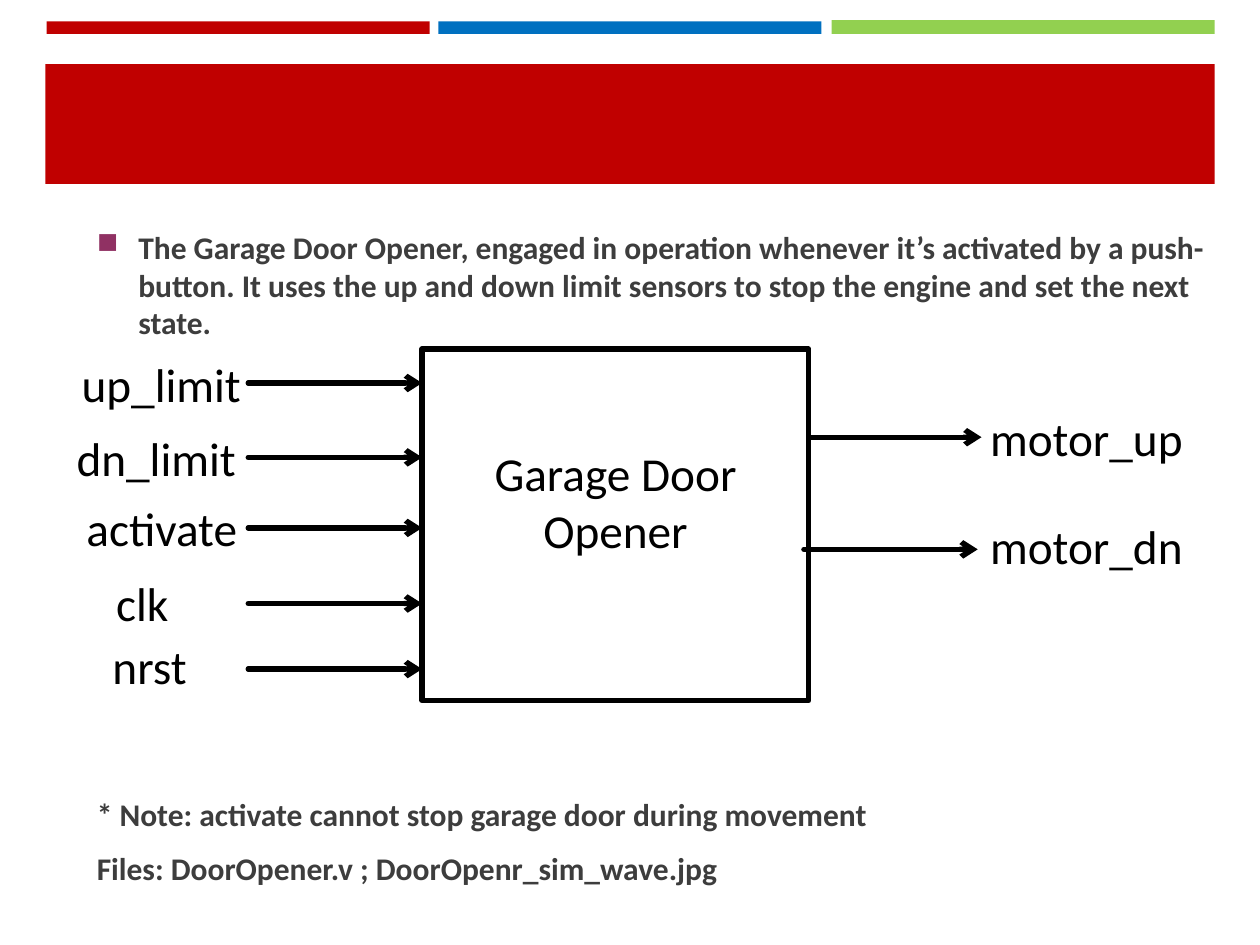
"""Build the garage door opener block diagram slide."""
from lxml import etree
from pptx import Presentation
from pptx.dml.color import RGBColor
from pptx.enum.shapes import MSO_CONNECTOR, MSO_SHAPE
from pptx.enum.text import PP_ALIGN
from pptx.oxml.ns import qn
from pptx.util import Inches, Pt

LEFT, CENTER, RIGHT = PP_ALIGN.LEFT, PP_ALIGN.CENTER, PP_ALIGN.RIGHT
RECTANGLE, STRAIGHT = MSO_SHAPE.RECTANGLE, MSO_CONNECTOR.STRAIGHT
COLORS = {"red": "C00000", "blue": "0070C0", "green": "92D050",
          "body": "3D3D3D", "bullet": "903163", "black": "000000"}

prs = Presentation()
prs.slide_width, prs.slide_height = Inches(10), Inches(7.5)
slide = prs.slides.add_slide(prs.slide_layouts[6])
shapes = slide.shapes


def color(name):
    return RGBColor.from_string(COLORS[name])


def add_text(lines, left, top, width, height, size, ink, align=LEFT, bold=False):
    box = shapes.add_textbox(Inches(left), Inches(top), Inches(width), Inches(height))
    frame = box.text_frame
    frame.word_wrap = True
    frame.text = "\n".join(lines)
    for paragraph in frame.paragraphs:
        paragraph.alignment = align
        font = paragraph.runs[0].font
        font.name, font.size, font.bold = "Calibri", Pt(size), bold
        font.color.rgb = color(ink)
    return frame


bands = [("red", 0.37, 0.17, 3.04, 0.1), ("blue", 3.48, 0.17, 3.04, 0.1),
         ("green", 6.6, 0.16, 3.04, 0.11), ("red", 0.36, 0.51, 9.28, 0.95)]
for fill, *place in bands:
    band = shapes.add_shape(RECTANGLE, *map(Inches, place))
    band.shadow.inherit = False
    band.fill.solid()
    band.fill.fore_color.rgb = color(fill)
    band.line.fill.background()

intro = add_text(
    ["The Garage Door Opener, engaged in operation whenever it’s activated by a "
     "push-button. It uses the up and down limit sensors to stop the engine and "
     "set the next state."], 0.67, 1.76, 9.3, 1, 18, "body", bold=True)
intro_format = intro.paragraphs[0]._p.get_or_add_pPr()
intro_format.set("marL", str(Inches(0.33)))
intro_format.set("indent", str(-Inches(0.33)))
bullet_color = etree.SubElement(intro_format, qn("a:buClr"))
etree.SubElement(bullet_color, qn("a:srgbClr"), val=COLORS["bullet"])
etree.SubElement(intro_format, qn("a:buSzPct"), val="92000")
etree.SubElement(intro_format, qn("a:buChar"), char="■")

notes = add_text(["* Note: activate cannot stop garage door during movement",
                  "Files: DoorOpener.v ; DoorOpenr_sim_wave.jpg"],
                 0.67, 6.26, 9.3, 0.85, 18, "body", bold=True)
notes.paragraphs[0].space_after = Pt(9)

opener = shapes.add_shape(RECTANGLE, Inches(3.35), Inches(2.77), Inches(3.07), Inches(2.79))
opener.shadow.inherit = False
opener.fill.background()
opener.line.color.rgb = color("black")
opener.line.width = Pt(3)
etree.SubElement(opener.line._get_or_add_ln(), qn("a:round"))
add_text(["Garage Door", "Opener"], 3.51, 3.48, 2.75, 1.01, 27, "black", CENTER)

signals = [
    ("up_limit", 0.47, 2.77, 1.54, RIGHT, 1.97, 3.35, 3.04),
    ("dn_limit", 0.43, 3.36, 1.54, RIGHT, 1.97, 3.35, 3.63),
    ("activate", 0.28, 3.91, 1.7, RIGHT, 1.97, 3.35, 4.19),
    ("clk", 0.28, 4.51, 1.7, CENTER, 1.97, 3.35, 4.79),
    ("nrst", 0.63, 5.01, 0.95, RIGHT, 1.97, 3.35, 5.31),
    ("motor_up", 7.76, 3.2, 1.8, LEFT, 6.42, 7.79, 3.47),
    ("motor_dn", 7.76, 4.06, 1.8, LEFT, 6.38, 7.76, 4.36),
]
for signal, left, top, width, align, start, end, level in signals:
    add_text([signal], left, top, width, 0.56, 27, "black", align)
    arrow = shapes.add_connector(STRAIGHT, Inches(start), Inches(level),
                                 Inches(end), Inches(level))
    arrow.line.color.rgb = color("black")
    arrow.line.width = Pt(3)
    stroke = arrow.line._get_or_add_ln()
    stroke.set("cap", "rnd")
    etree.SubElement(stroke, qn("a:round"))
    etree.SubElement(stroke, qn("a:tailEnd"), type="arrow")
    etree.SubElement(arrow._element.spPr, qn("a:effectLst"))

prs.save("out.pptx")
